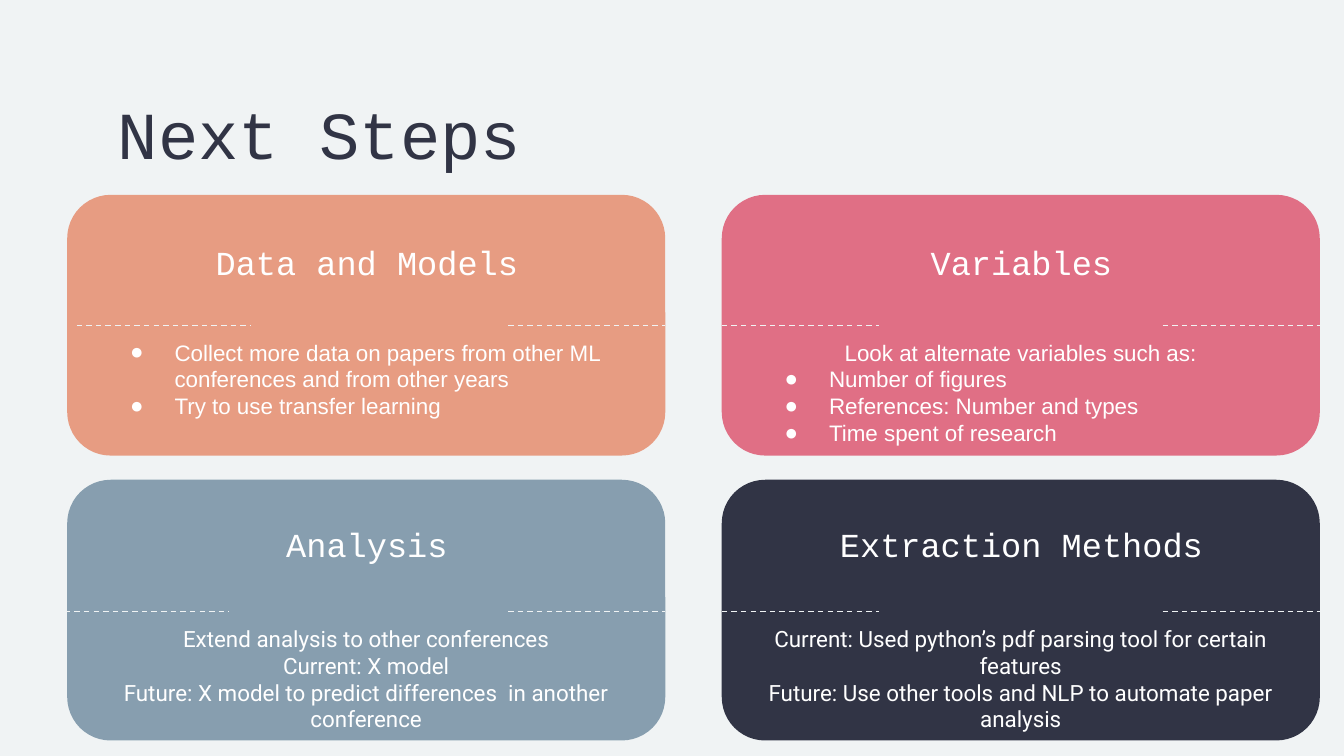
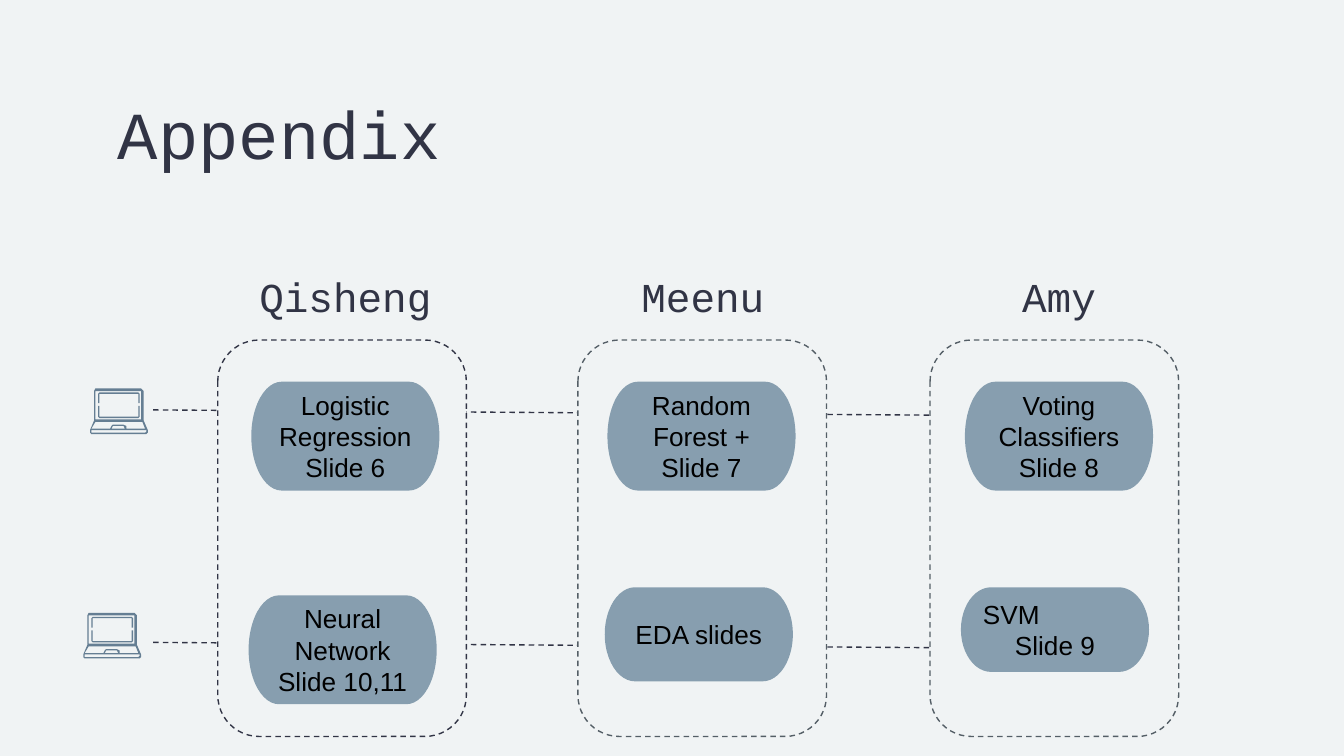
from dataclasses import dataclass
from lxml.etree import SubElement as Sub
from pptx import Presentation
from pptx.dml.color import RGBColor as Rgb
from pptx.enum.dml import MSO_LINE as Dash
from pptx.enum.shapes import MSO_CONNECTOR as Conn, MSO_SHAPE as Kind
from pptx.enum.text import MSO_ANCHOR as Anchor, PP_ALIGN as Align
from pptx.oxml.ns import qn
from pptx.util import Inches, Pt


@dataclass(frozen=True)
class Theme:
    paper: str = "F0F3F4"
    ink: str = "313445"
    coral: str = "E79C82"
    rose: str = "E06F85"
    steel: str = "879EAF"
    slate: str = "545E66"
    icon: str = "657E93"
    white: str = "FFFFFF"
    black: str = "000000"
    mono: str = "Courier New"
    sans: str = "Arial"
    soft: str = "Roboto"
    title: int = 36
    name: int = 22
    head: int = 18
    pill: int = 14
    body: int = 12
    rule: float = 0.75


T = Theme()
WIDTH = 10
HEIGHT = WIDTH * 9 / 16

PANELS = [
    [
        ("Data and Models", T.coral, T.sans, [
            "• Collect more data on papers from other ML conferences and from other years",
            "• Try to use transfer learning",
        ]),
        ("Variables", T.rose, T.sans, [
            "Look at alternate variables such as:",
            "• Number of figures",
            "• References: Number and types",
            "• Time spent of research",
        ]),
    ],
    [
        ("Analysis", T.steel, T.soft, [
            "Extend analysis to other conferences",
            "Current: X model",
            "Future: X model to predict differences  in another conference",
        ]),
        ("Extraction Methods", T.ink, T.soft, [
            "Current: Used python’s pdf parsing tool for certain features",
            "Future: Use other tools and NLP to automate paper analysis",
        ]),
    ],
]
GRID = dict(x=0.5, dx=4.87, w=4.45, h=1.94)
ROWS = [(1.45, 1.7, 2.42), (3.57, 3.8, 4.55)]
DASH = 1.17
SHIFT = {(0, 0): 0.07, (1, 0): -0.09}

OWNERS = [
    ("Qisheng", 1.5, 1.62, T.ink, [
        (1.87, 2.84, 0.81, ["Logistic Regression Slide 6"]),
        (1.85, 4.43, 0.81, ["Neural Network Slide 10,11"]),
    ]),
    ("Meenu", 4.16, 4.3, T.slate, [
        (4.52, 2.84, 0.81, ["Random Forest + Slide 7"]),
        (4.5, 4.37, 0.7, ["EDA slides"]),
    ]),
    ("Amy", 6.81, 6.92, T.slate, [
        (7.18, 2.84, 0.81, ["Voting Classifiers", "Slide 8"]),
        (7.15, 4.37, 0.63, ["< SVM", "Slide 9"]),
    ]),
]
TRACKS = [3.05, 4.78]
LAPTOPS = [(0.67, 2.89), (0.62, 4.56)]
LAPTOP = [
    [
        [(38, 2), (38, 23), (4, 23), (4, 2)],
        [(25, 28), (26, 30), (16, 30), (17, 28)],
        [(39, 25), (41, 30), (27, 30), (27, 28), (25, 27), (17, 27),
         (16, 28), (15, 30), (1, 30), (4, 25)],
        [(42, 31), (42, 32), (41, 33), (1, 33), (1, 31)],
        [(4, 0), (3, 2), (3, 24), (0, 31), (0, 33), (1, 34), (42, 34),
         (43, 33), (43, 31), (40, 24), (40, 2), (38, 0)],
    ],
    [[(6, 13), (6, 21), (7, 22), (36, 22), (37, 21), (37, 13), (36, 13),
      (36, 21), (7, 21), (7, 13)]],
    [[(7, 3), (6, 4), (6, 11), (7, 11), (7, 4), (36, 4), (36, 11),
      (37, 11), (37, 4), (36, 3)]],
]


def bullet(para, color, font):
    props = para._p.get_or_add_pPr()
    props.set("marL", str(Inches(0.5)))
    props.set("indent", str(Inches(-0.33)))
    tint = Sub(props, qn("a:buClr"))
    Sub(tint, qn("a:srgbClr")).set("val", color)
    Sub(props, qn("a:buFont")).set("typeface", font)
    Sub(props, qn("a:buChar")).set("char", "●")


def write(shape, lines, *, size, font, color, align=Align.CENTER,
          anchor=Anchor.TOP):
    frame = shape.text_frame
    frame.word_wrap = True
    frame.vertical_anchor = anchor
    frame.margin_left = frame.margin_right = Inches(0.1)
    frame.margin_top = frame.margin_bottom = Inches(0.1)
    for i, line in enumerate(lines):
        para = frame.add_paragraph() if i else frame.paragraphs[0]
        mark = line[:2]
        left = mark in ("• ", "< ")
        para.alignment = Align.LEFT if left else align
        if mark == "• ":
            bullet(para, color, font)
        run = para.add_run()
        run.text = line[2:] if left else line
        run.font.size = Pt(size)
        run.font.name = font
        run.font.color.rgb = Rgb.from_string(color)


def label(slide, box, lines, **style):
    write(slide.shapes.add_textbox(*map(Inches, box)), lines, **style)


def stroke(line, color):
    line.color.rgb = Rgb.from_string(color)
    line.width = Pt(T.rule)
    line.dash_style = Dash.DASH


def paint(shape, fill, edge=None):
    shape.shadow.inherit = False
    shape.fill.solid()
    shape.fill.fore_color.rgb = Rgb.from_string(fill)
    if edge:
        stroke(shape.line, edge)
    else:
        shape.line.fill.background()


def block(slide, kind, box, fill, edge=None):
    shape = slide.shapes.add_shape(kind, *map(Inches, box))
    paint(shape, fill, edge)
    return shape


def dashed(slide, x1, y1, x2, y2, color):
    link = slide.shapes.add_connector(Conn.STRAIGHT, *map(Inches, (x1, y1, x2, y2)))
    stroke(link.line, color)
    Sub(link._element.spPr, qn("a:effectLst"))


def laptop(slide, x, y):
    group = slide.shapes.add_group_shape()
    for part in LAPTOP:
        pen = group.shapes.build_freeform(*part[0][0], scale=Inches(0.01))
        for i, ring in enumerate(part):
            if i:
                pen.move_to(*ring[0])
            pen.add_line_segments(ring[1:], close=True)
        paint(pen.convert_to_shape(Inches(x), Inches(y)), T.icon)


def start(deck, title):
    slide = deck.slides.add_slide(deck.slide_layouts[6])
    slide.background.fill.solid()
    slide.background.fill.fore_color.rgb = Rgb.from_string(T.paper)
    label(slide, (0.78, 0.59, 8.44, 0.67), [title], size=T.title,
          font=T.mono, color=T.ink, align=Align.LEFT)
    return slide


def steps(deck):
    slide = start(deck, "Next Steps")
    w, h = GRID["w"], GRID["h"]
    for r, (row, (y, top, fold)) in enumerate(zip(PANELS, ROWS)):
        for c, (head, fill, font, lines) in enumerate(row):
            x = GRID["x"] + c * GRID["dx"]
            block(slide, Kind.ROUNDED_RECTANGLE, (x, y, w, h), fill)
            left = x + SHIFT.get((r, c), 0)
            span = DASH if c else DASH + 0.12
            dashed(slide, left, fold, left + span, fold, T.paper)
            dashed(slide, x + w - DASH, fold, x + w, fold, T.paper)
            label(slide, (x + 0.08, top, w - 0.15, 0.41), [head],
                  size=T.head, font=T.mono, color=T.white)
            label(slide, (x + 0.2, fold, w - 0.4, 0.87), lines,
                  size=T.body, font=font, color=T.white)


def appendix(deck):
    slide = start(deck, "Appendix")
    for y in TRACKS:
        dashed(slide, 1.14, y, 8.53, y + 0.05, T.ink)
    for name, left, x, edge, pills in OWNERS:
        block(slide, Kind.ROUNDED_RECTANGLE, (x, 2.53, 1.85, 2.95), T.paper, edge)
        label(slide, (left, 1.92, 2.14, 0.55), [name],
              size=T.name, font=T.mono, color=T.ink)
        for px, py, ph, lines in pills:
            pill = block(slide, Kind.FLOWCHART_TERMINATOR, (px, py, 1.4, ph), T.steel)
            write(pill, lines, size=T.pill, font=T.sans, color=T.black,
                  anchor=Anchor.MIDDLE)
    for spot in LAPTOPS:
        laptop(slide, *spot)


def main():
    deck = Presentation()
    deck.slide_width, deck.slide_height = Inches(WIDTH), Inches(HEIGHT)
    steps(deck)
    appendix(deck)
    deck.save("out.pptx")


if __name__ == "__main__":
    main()
